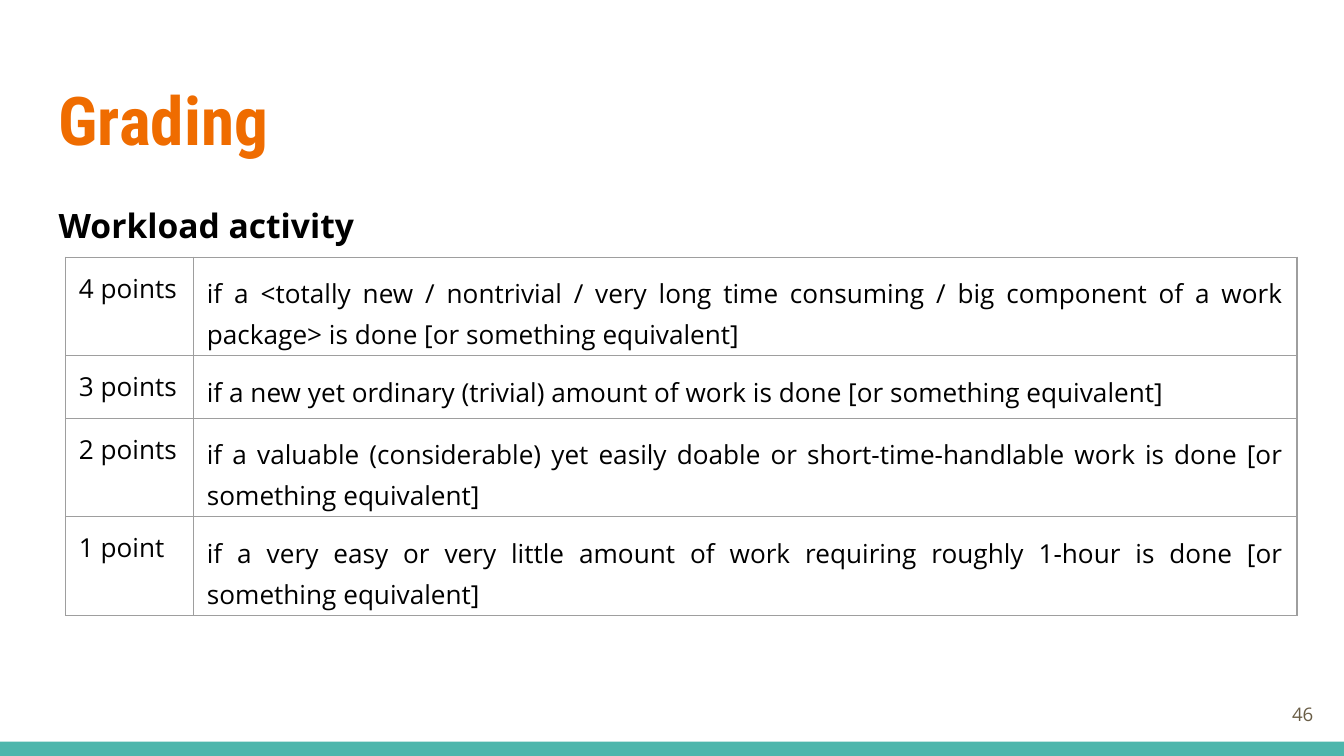
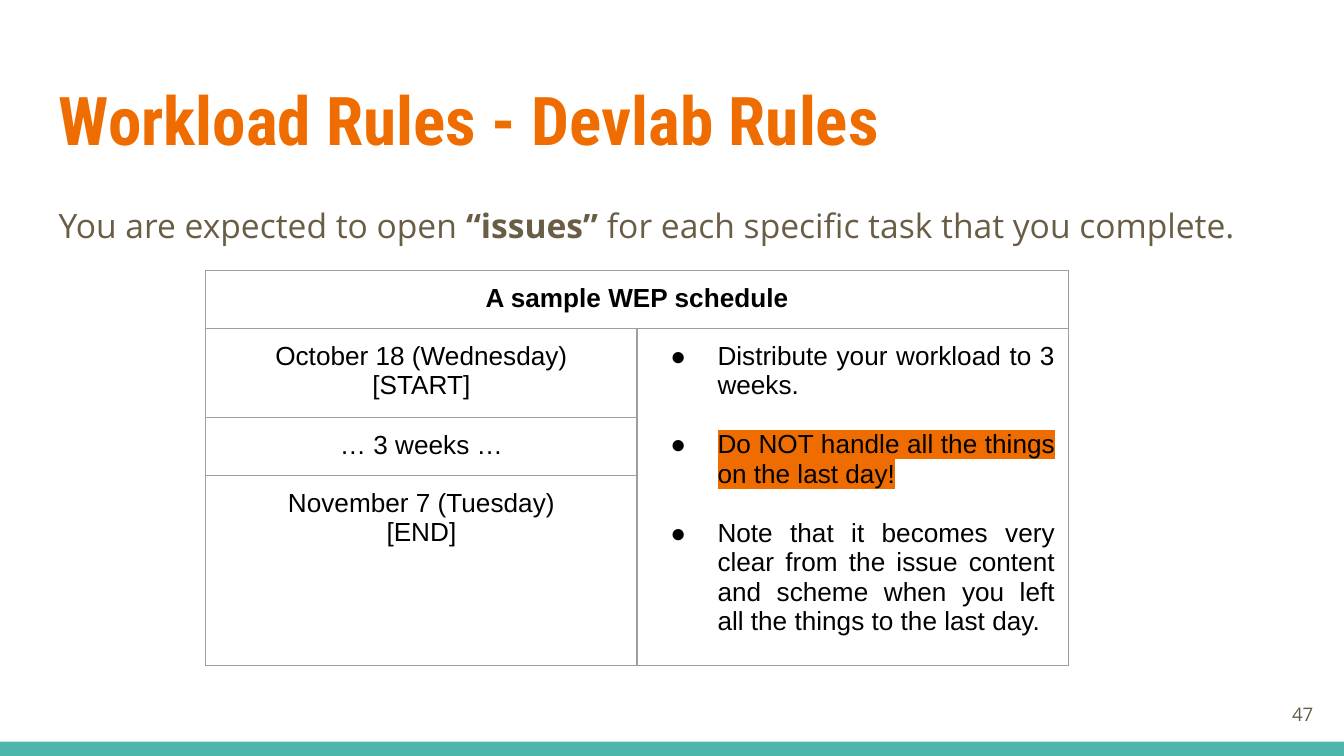
from dataclasses import dataclass, replace
from typing import Optional

from lxml import etree
from pptx import Presentation
from pptx.dml.color import RGBColor
from pptx.enum.shapes import MSO_SHAPE
from pptx.enum.text import MSO_ANCHOR, PP_ALIGN
from pptx.oxml.ns import qn
from pptx.util import Cm, Pt

RECT = MSO_SHAPE.RECTANGLE
TOP, MIDDLE = MSO_ANCHOR.TOP, MSO_ANCHOR.MIDDLE
LEFT, CENTER = PP_ALIGN.LEFT, PP_ALIGN.CENTER
RIGHT, JUSTIFY = PP_ALIGN.RIGHT, PP_ALIGN.JUSTIFY

COLORS = {
    "paper": "FFFFFF",
    "band": "4DB6AC",
    "accent": "EF6C00",
    "muted": "695D46",
    "ink": "000000",
    "border": "9E9E9E",
}
TITLE_FONT, BODY_FONT, SCHEDULE_FONT = "Roboto Condensed", "Open Sans", "Arial"
SLIDE_WIDTH, SLIDE_HEIGHT = Cm(25.4), Cm(14.29)
BAND_HEIGHT = Cm(0.27)
INSET = Cm(0.25)
ROW_HEIGHT = Cm(1.07)
BORDER_WIDTH = Pt(0.75)
BULLET_INDENT, BULLET_HANGING = Cm(1.27), Cm(-0.89)
BODY_SPACING = 1.15


@dataclass(frozen=True)
class Run:
    text: str
    size: float = 14
    font: str = BODY_FONT
    color: str = "ink"
    bold: bool = False
    highlight: Optional[str] = None


@dataclass(frozen=True)
class Para:
    runs: tuple[Run, ...]
    align: PP_ALIGN = LEFT
    spacing: Optional[float] = None
    bullet: bool = False
    gap_before: float = 0


@dataclass(frozen=True)
class Box:
    left: Cm
    top: Cm
    width: Cm
    height: Cm
    anchor: MSO_ANCHOR = TOP


@dataclass(frozen=True)
class Cell:
    row: int
    column: int
    paras: tuple[Para, ...]
    row_span: int = 1
    column_span: int = 1


@dataclass(frozen=True)
class Grid:
    left: Cm
    top: Cm
    columns: tuple[Cm, ...]
    rows: tuple[Cm, ...]
    cells: tuple[Cell, ...]


TITLE_BOX = Box(Cm(0.86), Cm(1.24), Cm(23.67), Cm(1.96))
BODY_BOX = Box(Cm(0.86), Cm(3.51), Cm(23.67), Cm(9.17))
NUMBER_BOX = Box(Cm(23.55), Cm(12.95), Cm(1.52), Cm(1.09), MIDDLE)


def rgb(name: str) -> RGBColor:
    return RGBColor.from_string(COLORS[name])


# Text
def add_color(parent, tag: str, color: str):
    element = etree.SubElement(parent, qn(tag))
    etree.SubElement(element, qn("a:srgbClr"), val=COLORS[color])
    return element


def add_bullet(paragraph) -> None:
    properties = paragraph._p.get_or_add_pPr()
    properties.set("marL", str(BULLET_INDENT))
    properties.set("indent", str(BULLET_HANGING))
    add_color(properties, "a:buClr", "ink")
    etree.SubElement(properties, qn("a:buFont"), typeface=SCHEDULE_FONT)
    etree.SubElement(properties, qn("a:buChar"), char="●")


def add_run(paragraph, item: Run) -> None:
    run = paragraph.add_run()
    run.text = item.text
    run.font.size = Pt(item.size)
    run.font.bold = item.bold
    run.font.color.rgb = rgb(item.color)
    if item.highlight:
        properties = run._r.get_or_add_rPr()
        marker = add_color(properties, "a:highlight", item.highlight)
        properties.find(qn("a:solidFill")).addnext(marker)
    run.font.name = item.font


def write(frame, paras: tuple[Para, ...]) -> None:
    for index, para in enumerate(paras):
        paragraph = frame.add_paragraph() if index else frame.paragraphs[0]
        paragraph.alignment = para.align
        if para.spacing:
            paragraph.line_spacing = para.spacing
        if para.gap_before:
            paragraph.space_before = Pt(para.gap_before)
        if para.bullet:
            add_bullet(paragraph)
        for item in para.runs:
            add_run(paragraph, item)


def set_insets(target) -> None:
    target.margin_left = target.margin_right = INSET
    target.margin_top = target.margin_bottom = INSET


def add_text(slide, box: Box, para: Para) -> None:
    frame = slide.shapes.add_textbox(box.left, box.top, box.width, box.height).text_frame
    frame.word_wrap = True
    frame.vertical_anchor = box.anchor
    set_insets(frame)
    write(frame, (para,))


# Tables
def style_cell(cell) -> None:
    set_insets(cell)
    cell.fill.background()
    properties = cell._tc.get_or_add_tcPr()
    for index, side in enumerate(("a:lnL", "a:lnR", "a:lnT", "a:lnB")):
        line = etree.Element(qn(side), w=str(BORDER_WIDTH))
        add_color(line, "a:solidFill", "border")
        properties.insert(index, line)


def add_grid(slide, grid: Grid) -> None:
    table = slide.shapes.add_table(
        len(grid.rows), len(grid.columns), grid.left, grid.top,
        sum(grid.columns), sum(grid.rows),
    ).table
    table.first_row = table.horz_banding = False
    for column, width in zip(table.columns, grid.columns):
        column.width = width
    for row, height in zip(table.rows, grid.rows):
        row.height = height
    for cell in table.iter_cells():
        style_cell(cell)
    for item in grid.cells:
        cell = table.cell(item.row, item.column)
        if item.row_span > 1 or item.column_span > 1:
            cell.merge(table.cell(item.row + item.row_span - 1,
                                  item.column + item.column_span - 1))
        write(cell.text_frame, item.paras)


# Shared slide frame
def add_slide(deck, title: str, number: int, lead: Para, grid: Grid) -> None:
    slide = deck.slides.add_slide(deck.slide_layouts[6])
    slide.background.fill.solid()
    slide.background.fill.fore_color.rgb = rgb("paper")
    band = slide.shapes.add_shape(RECT, 0, SLIDE_HEIGHT - BAND_HEIGHT, SLIDE_WIDTH, BAND_HEIGHT)
    band.shadow.inherit = False
    band.fill.solid()
    band.fill.fore_color.rgb = rgb("band")
    band.line.fill.background()
    add_text(slide, TITLE_BOX, Para((Run(title, 36, TITLE_FONT, "accent", True),)))
    add_text(slide, BODY_BOX, lead)
    add_text(slide, NUMBER_BOX, Para((Run(str(number), 10, color="muted"),), RIGHT))
    add_grid(slide, grid)


# Grading content
GRADES = (
    ("4 points", "if a <totally new / nontrivial / very long time consuming / big component "
                 "of a work package> is done [or something equivalent]"),
    ("3 points", "if a new yet ordinary (trivial) amount of work is done "
                 "[or something equivalent]"),
    ("2 points", "if a valuable (considerable) yet easily doable or short-time-handlable "
                 "work is done [or something equivalent]"),
    ("1 point", "if a very easy or very little amount of work requiring roughly 1-hour "
                "is done [or something equivalent]"),
)


def grading_grid() -> Grid:
    cells = []
    for row, (points, condition) in enumerate(GRADES):
        cells.append(Cell(row, 0, (Para((Run(points),)),)))
        cells.append(Cell(row, 1, (Para((Run(condition),), JUSTIFY, BODY_SPACING),)))
    rows = (ROW_HEIGHT,) * 3 + (Cm(1.14),)
    return Grid(Cm(1.24), Cm(4.86), (Cm(2.42), Cm(20.85)), rows, tuple(cells))


# Schedule content
MILESTONES = (
    ("October 18 (Wednesday)", "[START]"),
    ("… 3 weeks …",),
    ("November 7 (Tuesday)", "[END]"),
)
ADVICE = (
    ("Distribute your workload to 3 weeks.", None),
    ("Do NOT handle all the things on the last day!", "accent"),
    ("Note that it becomes very clear from the issue content and scheme "
     "when you left all the things to the last day.", None),
)


def schedule_grid() -> Grid:
    plain = Run("", font=SCHEDULE_FONT)
    heading = replace(plain, text="A sample WEP schedule", bold=True)
    advice = tuple(
        Para((replace(plain, text=text, highlight=mark),), JUSTIFY,
             bullet=True, gap_before=16 if index else 0)
        for index, (text, mark) in enumerate(ADVICE)
    )
    milestones = tuple(
        Cell(row, 0, tuple(Para((replace(plain, text=line),), CENTER) for line in lines))
        for row, lines in enumerate(MILESTONES, start=1)
    )
    cells = (
        Cell(0, 0, (Para((heading,), CENTER),), column_span=2),
        Cell(1, 1, advice, row_span=len(MILESTONES)),
    ) + milestones
    return Grid(Cm(3.89), Cm(5.11), (Cm(8.15),) * 2, (ROW_HEIGHT,) * 4, cells)


def main() -> None:
    deck = Presentation()
    deck.slide_width, deck.slide_height = SLIDE_WIDTH, SLIDE_HEIGHT

    activity = Para((Run("Workload activity", 18, bold=True),), JUSTIFY, BODY_SPACING)
    add_slide(deck, "Grading", 46, activity, grading_grid())

    lead = Run("You are expected to open ", 18, color="muted")
    issues = Para((
        lead,
        replace(lead, text="“issues”", bold=True),
        replace(lead, text=" for each specific task that you complete."),
    ), spacing=BODY_SPACING)
    add_slide(deck, "Workload Rules - Devlab Rules", 47, issues, schedule_grid())

    deck.save("out.pptx")


if __name__ == "__main__":
    main()
